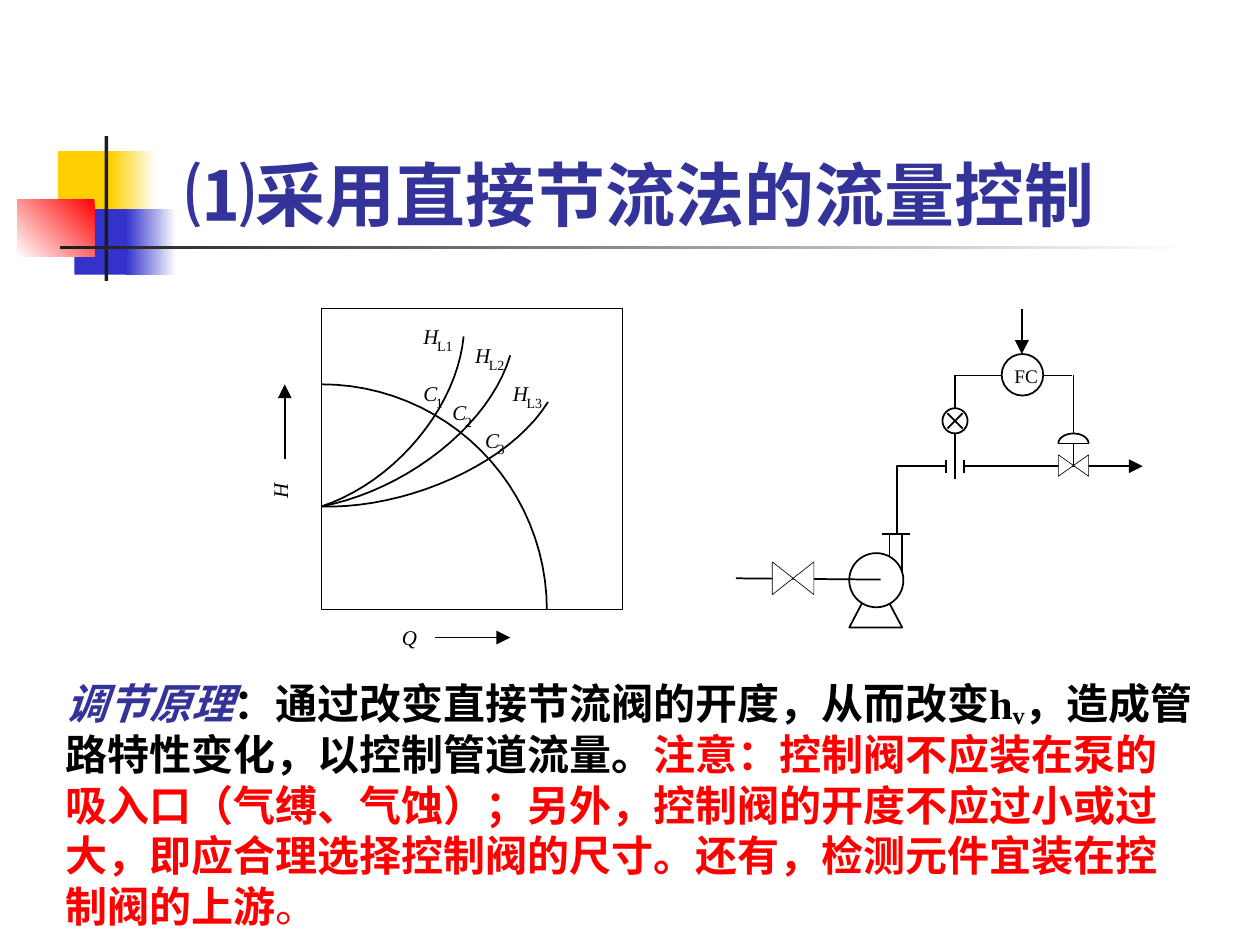
from math import cos, pi, sin

from lxml.etree import SubElement
from pptx import Presentation
from pptx.dml.color import RGBColor
from pptx.enum.shapes import MSO_CONNECTOR, MSO_SHAPE
from pptx.enum.text import MSO_ANCHOR, MSO_AUTO_SIZE, PP_ALIGN
from pptx.oxml.ns import qn
from pptx.util import Inches, Pt

BLACK = RGBColor(0x00, 0x00, 0x00)
WHITE = RGBColor(0xFF, 0xFF, 0xFF)
RED = RGBColor(0xFF, 0x00, 0x00)
YELLOW = RGBColor(0xFF, 0xCF, 0x01)
BLUE = RGBColor(0x33, 0x33, 0xCC)
INDIGO = RGBColor(0x33, 0x33, 0x99)
CHARCOAL = RGBColor(0x1C, 0x1C, 0x1C)

prs = Presentation()
prs.slide_width, prs.slide_height = Inches(10), Inches(7.5)
s = prs.slides.add_slide(prs.slide_layouts[6])


def add_shape(kind, box, fill, width=0):
    sp = s.shapes.add_shape(kind, *map(Inches, box))
    sp.shadow.inherit = False
    sp.fill.solid()
    sp.fill.fore_color.rgb = fill
    if width:
        sp.line.color.rgb = BLACK
        sp.line.width = Pt(width)
    else:
        sp.line.fill.background()
    return sp


def draw(points, fill=None, width=1.0):
    """Draw a connector for two points, a closed outline if filled, else an open one."""
    pts = [(Inches(x), Inches(y)) for x, y in points]
    if len(pts) == 2:
        sp = s.shapes.add_connector(MSO_CONNECTOR.STRAIGHT, *pts[0], *pts[1])
        SubElement(sp._element.spPr, qn("a:effectLst"))
    else:
        builder = s.shapes.build_freeform(*pts[0], scale=1.0)
        builder.add_line_segments(pts[1:], close=fill is not None)
        sp = builder.convert_to_shape()
        sp.shadow.inherit = False
        if fill is None:
            sp.fill.background()
        else:
            sp.fill.solid()
            sp.fill.fore_color.rgb = fill
    if width:
        sp.line.color.rgb = BLACK
        sp.line.width = Pt(width)
    else:
        sp.line.fill.background()


# Corner ornament: box, gradient start, gradient end, angle (no end means solid)
ornament = [
    ((0.46, 1.2, 0.48, 0.52), YELLOW, None, 0),
    ((0.88, 1.2, 0.36, 0.52), WHITE, YELLOW, 180),
    ((0.59, 1.66, 0.46, 0.52), BLUE, None, 0),
    ((1, 1.66, 0.4, 0.52), WHITE, BLUE, 180),
    ((0.14, 1.58, 0.61, 0.46), RED, WHITE, 225),
    ((0.83, 1.08, 0.03, 1.15), CHARCOAL, None, 0),
    ((0.48, 1.95, 9, 0.03), WHITE, CHARCOAL, 180),
]
for box, start, end, angle in ornament:
    sp = add_shape(MSO_SHAPE.RECTANGLE, box, start)
    if end is not None:
        sp.fill.gradient()
        sp.fill.gradient_angle = angle
        for stop, color, position in zip(sp.fill.gradient_stops, (start, end), (0, 1)):
            stop.color.rgb = color
            stop.position = position

# Head-flow chart: pump curve and three pipeline curves
add_shape(MSO_SHAPE.RECTANGLE, (2.55, 2.45, 2.39, 2.39), WHITE, 0.37)
draw([(2.55 + 1.79 * sin(i * pi / 48), 4.84 - 1.79 * cos(i * pi / 48))
      for i in range(25)])
pipeline_curves = [
    ((2.55, 4.02), (3.22, 4.04), (4.04, 3.69), (4.35, 3.19)),
    ((2.55, 4.02), (3.15, 3.82), (3.63, 3.22), (3.68, 2.67)),
    ((2.55, 4.02), (3.23, 3.89), (3.89, 3.37), (4.05, 2.82)),
]
for controls in pipeline_curves:
    points = []
    for t in [i / 20 for i in range(21)]:
        weights = ((1 - t) ** 3, 3 * t * (1 - t) ** 2, 3 * t * t * (1 - t), t ** 3)
        points.append([sum(w * c[axis] for w, c in zip(weights, controls))
                       for axis in (0, 1)])
    draw(points)

# Axis arrows, process pipe and the lines that lie under the equipment
under_lines = [
    [(3.45, 5.06), (3.96, 5.06)],
    [(2.26, 3.64), (2.26, 3.14)],
    [(7.58, 3.24), (7.58, 2.98)],
    [(7.58, 2.98), (8.51, 2.98)],
    [(8.52, 2.98), (8.52, 3.44)],
    [(8.11, 2.72), (8.11, 2.45)],
    [(7.16, 4.56), (7.16, 4.24)],
    [(7.06, 4.45), (7.06, 4.24)],
    [(7.22, 4.24), (7, 4.24)],
    [(6.85, 4.77), (6.74, 4.98), (7.16, 4.98), (7.06, 4.79)],
    [(7.12, 4.23), (7.12, 3.7), (8.98, 3.7)],
]
for points in under_lines:
    draw(points)

# Arrowheads: tip and direction
for x, y, dx, dy in [(4.05, 5.06, 1, 0), (2.26, 3.05, 0, -1),
                     (9.07, 3.7, 1, 0), (8.11, 2.81, 0, 1)]:
    back_x, back_y = x - 0.11 * dx, y - 0.11 * dy
    side_x, side_y = 0.055 * dy, 0.055 * dx
    draw([(x, y), (back_x + side_x, back_y + side_y),
          (back_x - side_x, back_y - side_y)], BLACK, 0)

# Pump, transmitter, controller and orifice gap
for box in [(6.74, 4.39, 0.43, 0.43), (7.48, 3.24, 0.2, 0.2), (7.95, 2.81, 0.33, 0.33)]:
    add_shape(MSO_SHAPE.OVAL, box, WHITE, 1)
add_shape(MSO_SHAPE.RECTANGLE, (7.51, 3.6, 0.14, 0.2), WHITE)

over_lines = [
    [(7.64, 3.28), (7.52, 3.4)],
    [(7.52, 3.28), (7.64, 3.4)],
    [(7.65, 3.65), (7.65, 3.75)],
    [(7.58, 3.44), (7.58, 3.8)],
    [(7.51, 3.65), (7.51, 3.75)],
    [(8.4, 3.52), (8.64, 3.52)],
    [(5.84, 4.59), (6.99, 4.6)],
]
for points in over_lines:
    draw(points)

# Valves, then the actuator stem and dome
for left, top, width, height in [(8.4, 3.61, 0.24, 0.17), (6.13, 4.46, 0.33, 0.26)]:
    right, bottom = left + width, top + height
    draw([(right, bottom), (right, top), (left, bottom), (left, top)], WHITE, 0.37)
draw([(8.52, 3.69), (8.52, 3.52)])
draw([(8.52 - 0.12 * cos(i * pi / 14), 3.52 - 0.08 * sin(i * pi / 14))
      for i in range(15)])

# Texts: box, rotation, runs
main = {"size": Pt(12), "italic": True}
sub = {"size": Pt(8)}
labels = [
    ((2.16, 3.8, 0.12, 0.2), 270, "H", main),
    ((3.19, 4.96, 0.12, 0.2), 0, "Q", main),
    ((8.05, 2.89, 0.19, 0.18), 0, "FC", {"size": Pt(11)}),
]
for letter, index, x, y in [("H", "L1", 3.36, 2.57), ("H", "L2", 3.77, 2.72),
                            ("H", "L3", 4.07, 3.02), ("C", "1", 3.36, 3.02),
                            ("C", "2", 3.59, 3.17), ("C", "3", 3.85, 3.39)]:
    step = 0.11 if letter == "H" else 0.1
    labels.append(((x, y, step, 0.2), 0, letter, main))
    labels.append(((x + step, y + 0.11, 0.07 * len(index), 0.13), 0, index, sub))

bold = {"size": Pt(24), "bold": True}
body = [
    ("调节原理", {**bold, "italic": True}, INDIGO),
    ("：通过改变直接节流阀的开度，从而改变h", bold, BLACK),
    ("v", bold, BLACK),
    ("，造成管路特性变化，以控制管道流量。", bold, BLACK),
    ("注意：控制阀不应装在泵的吸入口（气缚、气蚀）；另外，控制阀的开度不应过小或过大，"
     "即应合理选择控制阀的尺寸。还有，检测元件宜装在控制阀的上游", bold, RED),
    ("。", {"size": Pt(24)}, RED),
]
title = [("⑴采用直接节流法的流量控制",
          {"size": Pt(40), "bold": True, "name": "Roboto"}, INDIGO)]
texts = [((1.08, 0.67, 8, 1.25), 0, title), ((0.42, 5.33, 9.17, 2.11), 0, body)]
texts += [(box, angle, [(text, font, BLACK)]) for box, angle, text, font in labels]

for box, angle, runs in texts:
    sp = s.shapes.add_textbox(*map(Inches, box))
    sp.rotation = angle
    tf = sp.text_frame
    tf.word_wrap = box[2] > 1
    if not tf.word_wrap:
        tf.auto_size = MSO_AUTO_SIZE.SHAPE_TO_FIT_TEXT
        tf.margin_left = tf.margin_right = tf.margin_top = tf.margin_bottom = 0
    p = tf.paragraphs[0]
    if runs is title:
        tf.vertical_anchor = MSO_ANCHOR.BOTTOM
        p.alignment = PP_ALIGN.CENTER
    for text, font, color in runs:
        r = p.add_run()
        r.text = text
        for key, value in {"name": "Times New Roman", **font}.items():
            setattr(r.font, key, value)
        r.font.color.rgb = color
        if text == "v":
            r.font._element.set("baseline", "-10000")

prs.save("out.pptx")
